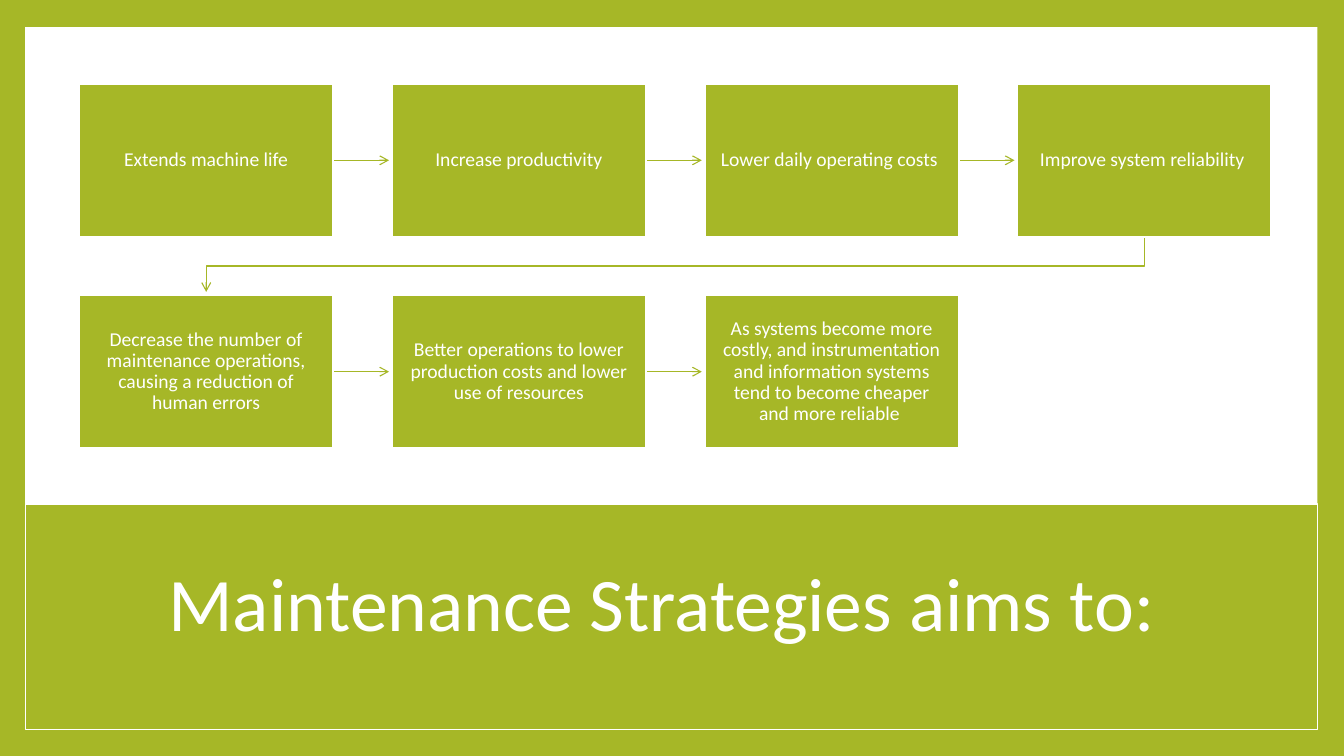
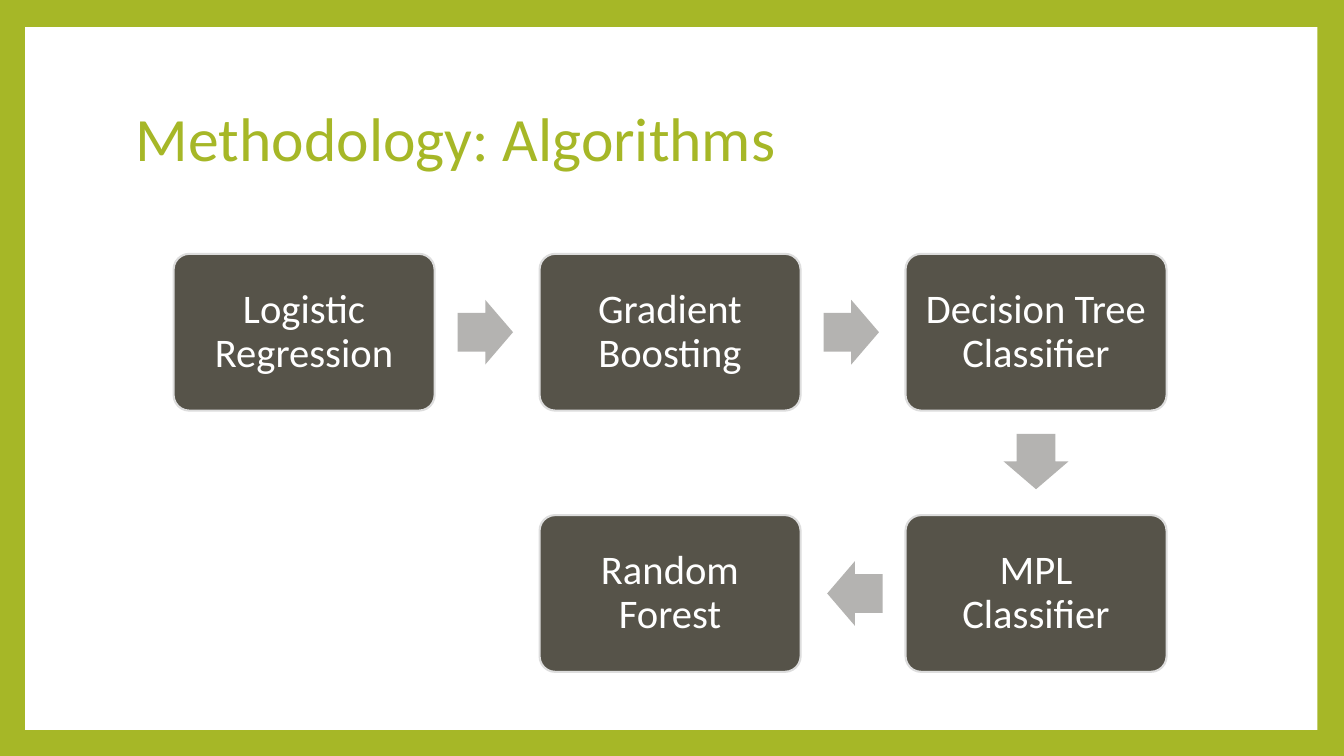
from itertools import pairwise

from lxml.etree import SubElement
from pptx import Presentation
from pptx.dml.color import RGBColor
from pptx.enum.shapes import MSO_CONNECTOR, MSO_SHAPE
from pptx.enum.text import MSO_ANCHOR, PP_ALIGN
from pptx.oxml.ns import qn
from pptx.util import Pt

COLORS = {
    "green": "A6B727",
    "white": "FFFFFF",
    "olive": "565349",
    "pale": "DDDDDD",
    "gray": "B4B3B1",
}
FONT = "Calibri"
PANEL_LEFT, PANEL_TOP, PANEL_WIDTH, PANEL_HEIGHT = 18, 19.3, 923, 502
RIGHT = 3  # connection site of a rectangle

AIMS = [
    "Extends machine life",
    "Increase productivity",
    "Lower daily operating costs ",
    "Improve system reliability ",
    "Decrease the number of maintenance operations, causing a reduction of human errors",
    "Better operations to lower production costs and lower use of resources",
    "As systems become more costly, and instrumentation and information systems "
    "tend to become cheaper and more reliable ",
]
ALGORITHMS = [
    ("Logistic Regression", 0, 0),
    ("Gradient Boosting", 1, 0),
    ("Decision Tree Classifier", 2, 0),
    ("MPL Classifier", 2, 1),
    ("Random Forest", 1, 1),
]


def rgb(color):
    return RGBColor.from_string(COLORS[color])


class Deck:
    def __init__(self):
        self.presentation = Presentation()
        self.presentation.slide_width = Pt(960)
        self.presentation.slide_height = Pt(540)
        self.slide = None

    def new_slide(self):
        """Start a slide with the green frame around a white panel."""
        self.slide = self.presentation.slides.add_slide(self.presentation.slide_layouts[6])
        background = self.slide.background.fill
        background.solid()
        background.fore_color.rgb = rgb("green")
        self.box(PANEL_LEFT, PANEL_TOP, PANEL_WIDTH, PANEL_HEIGHT, "white")

    def box(self, left, top, width, height, fill, line=None, line_width=1.5,
            kind=MSO_SHAPE.RECTANGLE):
        box = self.slide.shapes.add_shape(kind, Pt(left), Pt(top), Pt(width), Pt(height))
        box.shadow.inherit = False
        box.fill.solid()
        box.fill.fore_color.rgb = rgb(fill)
        if line:
            box.line.color.rgb = rgb(line)
            box.line.width = Pt(line_width)
        else:
            box.line.fill.background()
        return box

    def label(self, frame, text, size, color, align):
        frame.word_wrap = True
        frame.vertical_anchor = MSO_ANCHOR.MIDDLE
        paragraph = frame.paragraphs[0]
        paragraph.alignment = align
        paragraph.line_spacing = 0.9
        run = paragraph.add_run()
        run.text = text
        run.font.name = FONT
        run.font.size = Pt(size)
        run.font.color.rgb = rgb(color)

    def title(self, text, top, size, color, align):
        title = self.slide.shapes.add_textbox(Pt(90), Pt(top), Pt(777.6), Pt(106.5))
        self.label(title.text_frame, text, size, color, align)

    def step(self, text, size, *box_args, **box_options):
        """Draw a box of a process with its centred label."""
        step = self.box(*box_args, **box_options)
        frame = step.text_frame
        frame.margin_left = frame.margin_right = Pt(10)
        frame.margin_top = frame.margin_bottom = Pt(9)
        self.label(frame, text, size, "white", PP_ALIGN.CENTER)
        return step

    def style_arrow(self, arrow):
        arrow.line.color.rgb = rgb("green")
        arrow.line.width = Pt(0.79)
        SubElement(arrow.element.spPr.get_or_add_ln(), qn("a:tailEnd"), type="arrow")

    def arrow_right(self, source, target):
        """Join two neighbours, stopping just short of the target."""
        middle = source.top + source.height // 2
        arrow = self.slide.shapes.add_connector(
            MSO_CONNECTOR.STRAIGHT, source.left + source.width, middle,
            target.left - Pt(2), middle)
        arrow.begin_connect(source, RIGHT)
        self.style_arrow(arrow)
        SubElement(arrow.element.spPr, qn("a:effectLst"))
        source.element.addprevious(arrow.element)

    def arrow_to_next_row(self, source, target):
        start_x = source.left + source.width // 2
        end_x = target.left + target.width // 2
        start_y = source.top + source.height
        turn_y = (start_y + target.top) // 2
        outline = self.slide.shapes.build_freeform(start_x, start_y)
        outline.add_line_segments(
            [(start_x, turn_y), (end_x, turn_y), (end_x, target.top - Pt(2.5))], close=False)
        arrow = outline.convert_to_shape()
        arrow.shadow.inherit = False
        arrow.fill.background()
        self.style_arrow(arrow)
        source.element.addprevious(arrow.element)

    def block_arrow(self, center_x, center_y, rotation):
        width, height = 39.6, 46.2
        arrow = self.box(center_x - width / 2, center_y - height / 2, width, height,
                         "gray", kind=MSO_SHAPE.RIGHT_ARROW)
        arrow.adjustments[0], arrow.adjustments[1] = 0.6, 0.5
        arrow.rotation = rotation


def build_aims(deck):
    deck.new_slide()
    deck.box(PANEL_LEFT, 360, PANEL_WIDTH, PANEL_TOP + PANEL_HEIGHT - 360,
             "green", "white", 1)
    deck.title("Maintenance Strategies aims to: ", 380, 54, "white", PP_ALIGN.CENTER)
    columns = 4
    steps = []
    for index, aim in enumerate(AIMS):
        row, column = divmod(index, columns)
        steps.append(deck.step(aim, 14, 56.5 + 223.4 * column, 60 + 151 * row,
                               181.6, 109, "green", "white"))
    for source, target in pairwise(steps):
        if source.top == target.top:
            deck.arrow_right(source, target)
        else:
            deck.arrow_to_next_row(source, target)


def build_algorithms(deck):
    deck.new_slide()
    deck.title("Methodology: Algorithms", 48, 44, "green", PP_ALIGN.LEFT)
    left, top, width, height = 124, 181.3, 186.5, 112
    pitch_x, pitch_y = 261.4, 186.6
    for name, column, row in ALGORITHMS:
        step = deck.step(name, 29, left + pitch_x * column, top + pitch_y * row,
                         width, height, "olive", "pale", kind=MSO_SHAPE.ROUNDED_RECTANGLE)
        step.adjustments[0] = 0.1
    rotations = {(1, 0): 0, (0, 1): 90, (-1, 0): 180}
    for (_, column, row), (_, next_column, next_row) in pairwise(ALGORITHMS):
        across, down = next_column - column, next_row - row
        deck.block_arrow(left + width / 2 + pitch_x * (column + 0.495 * across),
                         top + height / 2 + pitch_y * (row + 0.495 * down),
                         rotations[across, down])


def main():
    deck = Deck()
    build_aims(deck)
    build_algorithms(deck)
    deck.presentation.save("out.pptx")


if __name__ == "__main__":
    main()
